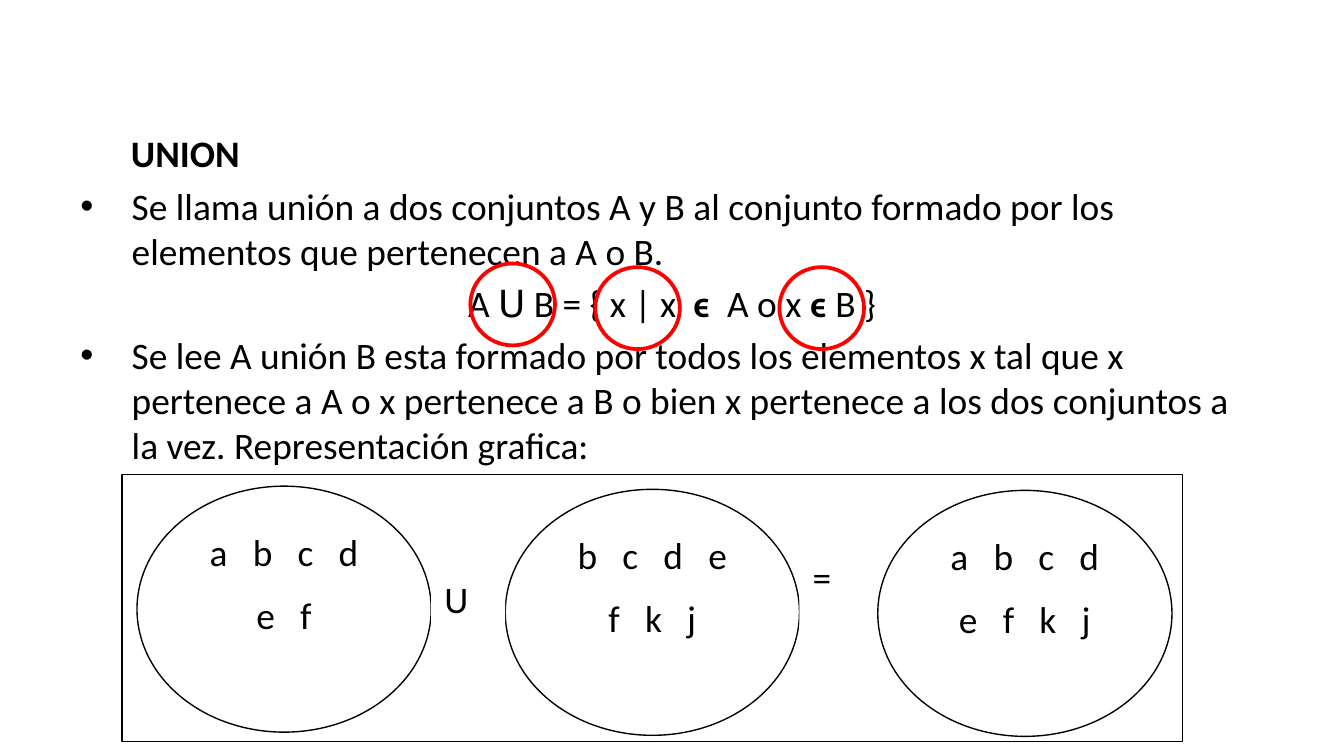
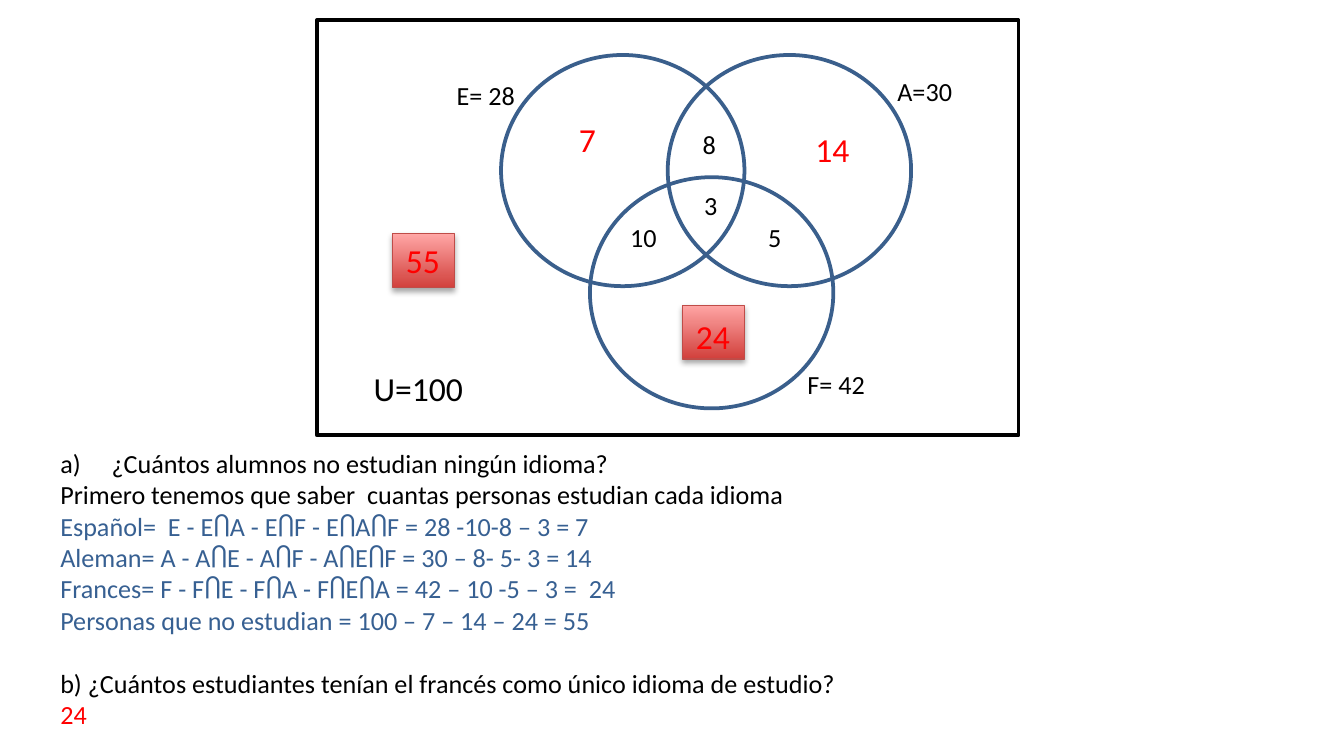
from lxml import etree
from pptx import Presentation
from pptx import util as u
from pptx.dml.color import RGBColor
from pptx.enum import shapes, text
from pptx.oxml import ns

Cm, Pt = u.Cm, u.Pt
FONT = "Calibri"
BLACK = RGBColor(0x00, 0x00, 0x00)
WHITE = RGBColor(0xFF, 0xFF, 0xFF)
RED = RGBColor(0xFF, 0x00, 0x00)
BLUE = RGBColor(0x37, 0x60, 0x92)
CIRCLE_BLUE = RGBColor(0x3A, 0x5F, 0x8C)
TILE_DARK = RGBColor(0xD1, 0x40, 0x3C)
TILE_LIGHT = RGBColor(0xFF, 0xA6, 0xA5)
TILE_LINE = RGBColor(0xBF, 0x4C, 0x48)
RECT = shapes.MSO_SHAPE.RECTANGLE
OVAL = shapes.MSO_SHAPE.OVAL
LEFT, CENTER = text.PP_ALIGN.LEFT, text.PP_ALIGN.CENTER
HANG = 0.97


def sub(parent, tag, **attrs):
    """Append a DrawingML child element and return it."""
    return etree.SubElement(parent, ns.qn(tag), attrs)


def write(tf, content, size=20, color=BLACK, align=LEFT, before=0, after=0,
          hang=0, bullet=None, number=None, spread=0):
    """Add a paragraph to a text frame; parts between asterisks are bold."""
    p = tf.paragraphs[0] if not tf.text else tf.add_paragraph()
    p.alignment = align
    p.space_before, p.space_after = Pt(before), Pt(after)
    pPr = p._p.get_or_add_pPr()
    if hang:
        pPr.set("marL", str(Cm(hang)))
        pPr.set("indent", str(-Cm(hang)))
    if bullet:
        sub(pPr, "a:buFont", typeface="Arial")
        sub(pPr, "a:buChar", char=bullet)
    if number:
        sub(pPr, "a:buFont", typeface="+mj-lt")
        sub(pPr, "a:buAutoNum", type=number)
    for i, part in enumerate(content.split("*")):
        if part:
            r = p.add_run()
            r.text = part
            r.font.name, r.font.size = FONT, Pt(size)
            r.font.bold = i % 2 == 1
            r.font.color.rgb = color
            if spread:
                r._r.get_or_add_rPr().set("spc", str(int(spread * 100)))


def add_box(s, x, y, w, h):
    """Add a wrapping text box and return its text frame."""
    tf = s.shapes.add_textbox(Cm(x), Cm(y), Cm(w), Cm(h)).text_frame
    tf.word_wrap = True
    return tf


def add_figure(s, kind, x, y, w, h, fill=None, line=None, width=0.75):
    """Add a flat preset shape with optional fill and outline."""
    sp = s.shapes.add_shape(kind, Cm(x), Cm(y), Cm(w), Cm(h))
    sp.shadow.inherit = False
    if fill is None:
        sp.fill.background()
    else:
        sp.fill.solid()
        sp.fill.fore_color.rgb = fill
    if line is None:
        sp.line.fill.background()
    else:
        sp.line.color.rgb = line
        sp.line.width = Pt(width)
    sp.text_frame.vertical_anchor = text.MSO_ANCHOR.TOP
    return sp


def add_tile(s, x, y):
    """Add a red gradient tile with a soft shadow below it."""
    sp = add_figure(s, RECT, x, y, 1.17, 1.02, line=TILE_LINE)
    sp.fill.gradient()
    sp.fill.gradient_angle = 90
    for stop, color, position in zip(sp.fill.gradient_stops, (TILE_DARK, TILE_LIGHT), (0, 1)):
        stop.color.rgb = color
        stop.position = position
    effects = sp._element.spPr.find(ns.qn("a:effectLst"))
    shadow = sub(effects, "a:outerShdw", blurRad=str(Pt(3.1)), dist=str(Pt(1.8)),
                 dir="5400000", rotWithShape="0")
    sub(sub(shadow, "a:srgbClr", val="000000"), "a:alpha", val="35000")


def add_set(group, x, y, rows):
    """Add an ellipse that lists the elements of a set."""
    sp = add_figure(group, OVAL, x, y, 5.56, 4.65, WHITE, BLACK)
    for row in rows:
        write(sp.text_frame, row, align=CENTER, after=10, spread=4.5)


def add_operator(group, x, y, sign):
    """Add the sign that stands between two sets."""
    sp = add_figure(group, RECT, x, y, 1.4, 1.65, WHITE)
    write(sp.text_frame, sign, after=10)


def build_union(prs):
    """Build the slide that defines the union of two sets."""
    s = prs.slides.add_slide(prs.slide_layouts[5])
    title = s.shapes.title
    title.left, title.top, title.width, title.height = Cm(2.22), Cm(2.34), Cm(21.9), Cm(1)
    title.text_frame.vertical_anchor = text.MSO_ANCHOR.TOP
    write(title.text_frame, "*UNION*")

    tf = add_box(s, 1.27, 3.34, 22.86, 5.5)
    write(tf, "Se llama unión a dos conjuntos A y B al conjunto formado por los "
          "elementos que pertenecen a A o B.", before=4, hang=HANG, bullet="•")
    write(tf, "A Ս B = { x | x  *ϵ  *A o x *ϵ *B }", align=CENTER, before=4, hang=HANG)
    write(tf, "Se lee A unión B esta formado por todos los elementos x tal que x "
          "pertenece a A o x pertenece a B o bien x pertenece a los dos conjuntos "
          "a la vez. Representación grafica:", before=4, hang=HANG, bullet="•")
    for x, y in ((8.89, 4.98), (11.25, 5.05), (14.73, 5.05)):
        add_figure(s, OVAL, x, y, 1.6, 1.55, line=RED, width=2)

    group = s.shapes.add_group_shape()
    add_figure(group, RECT, 2.31, 8.97, 20.04, 5.05, WHITE, BLACK)
    add_set(group, 2.59, 9.19, ("a b c d", "e f"))
    add_set(group, 9.55, 9.25, ("b c d e", "f k j"))
    add_set(group, 16.59, 9.27, ("a b c d", "e f k j"))
    add_operator(group, 8.15, 10.77, "U")
    add_operator(group, 15.11, 10.36, "=")


def build_languages(prs):
    """Build the slide with the three-circle diagram and its answers."""
    s = prs.slides.add_slide(prs.slide_layouts[6])
    add_tile(s, 7.42, 4.42)
    add_tile(s, 12.9, 5.77)
    add_figure(s, RECT, 5.99, 0.38, 13.26, 7.85, line=BLACK, width=2)
    for x, y in ((11.15, 3.35), (9.47, 1.04), (12.62, 1.04)):
        add_figure(s, OVAL, x, y, 4.6, 4.37, line=CIRCLE_BLUE, width=2)

    labels = (
        ("F= 42", 15.01, 6.83, 1.7, 14, BLACK),
        ("E= 28", 8.38, 1.37, 1.73, 14, BLACK),
        ("A=30", 16.71, 1.3, 1.63, 14, BLACK),
        ("8", 13.03, 2.31, 0.71, 14, BLACK),
        ("10", 11.66, 4.06, 1.6, 14, BLACK),
        ("3", 13.06, 3.45, 0.69, 14, BLACK),
        ("5", 14.27, 4.06, 0.69, 14, BLACK),
        ("U=100", 6.81, 6.83, 2.69, 18, BLACK),
        ("7", 10.69, 2.13, 0.97, 18, RED),
        ("14", 15.16, 2.31, 1.42, 18, RED),
        ("24", 12.9, 5.84, 1.3, 18, RED),
        ("55", 7.42, 4.42, 1.57, 18, RED),
    )
    for label, x, y, w, size, color in labels:
        write(add_box(s, x, y, w, 0.86 if size == 14 else 1.02), label, size, color)

    tf = add_box(s, 0.89, 8.33, 22.2, 5.64)
    write(tf, "¿Cuántos alumnos no estudian ningún idioma?", 14,
          hang=HANG, number="alphaLcParenR")
    write(tf, "Primero tenemos que saber  cuantas personas estudian cada idioma", 14)
    for step in ("Español=  E - EႶA - EႶF - EႶAႶF = 28 -10-8 – 3 = 7",
                 "Aleman= A - AႶE - AႶF - AႶEႶF = 30 – 8- 5- 3 = 14",
                 "Frances= F - FႶE - FႶA - FႶEႶA = 42 – 10 -5 – 3 =  24",
                 "Personas que no estudian = 100 – 7 – 14 – 24 = 55"):
        write(tf, step, 14, BLUE)
    write(tf, "b) ¿Cuántos estudiantes tenían el francés como único idioma de estudio?",
          14, before=17)
    write(tf, "24", 14, RED)


def main():
    """Build both slides and save the presentation."""
    prs = Presentation()
    prs.slide_width, prs.slide_height = Cm(25.4), Cm(14.29)
    build_union(prs)
    build_languages(prs)
    prs.save("out.pptx")


if __name__ == "__main__":
    main()
